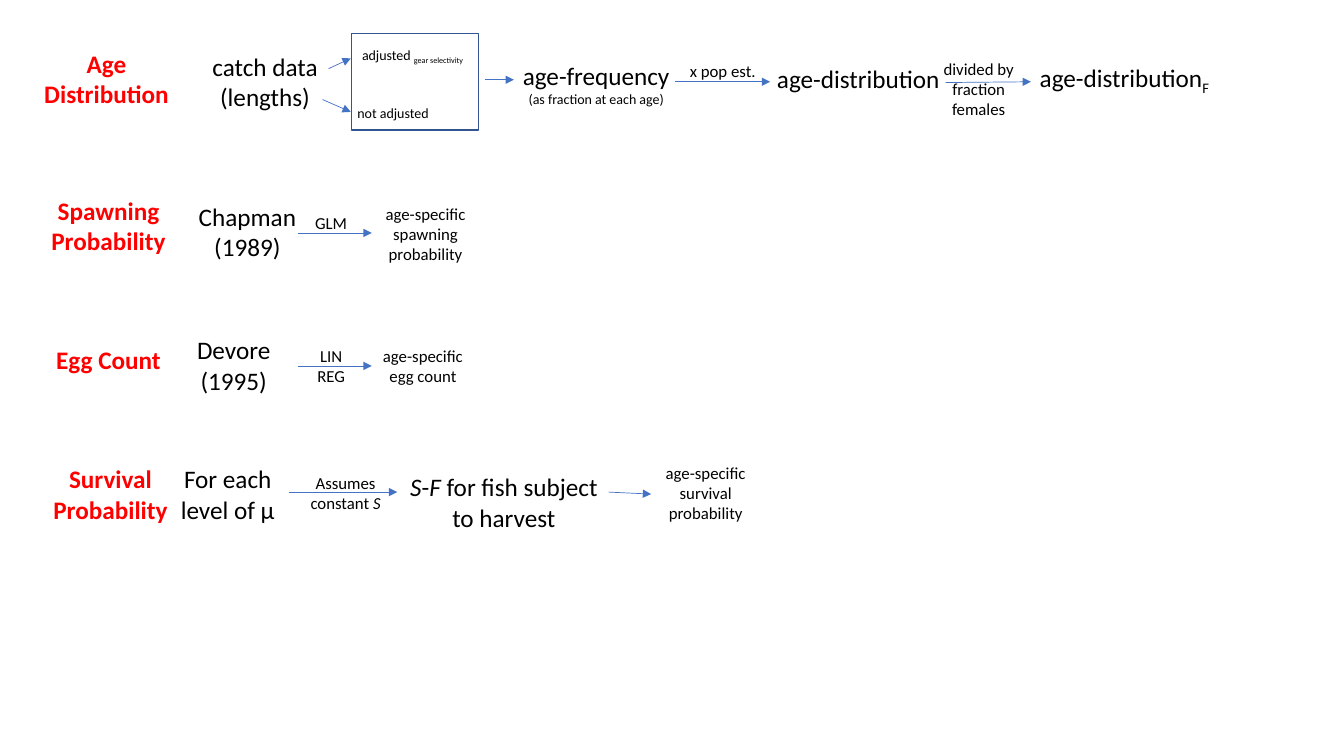
from lxml.etree import SubElement
from pptx import Presentation
from pptx.dml.color import RGBColor
from pptx.enum.shapes import MSO_CONNECTOR, MSO_SHAPE
from pptx.enum.text import MSO_AUTO_SIZE, PP_ALIGN
from pptx.oxml.ns import qn
from pptx.util import Cm, Pt

BLACK = RGBColor(0x00, 0x00, 0x00)
RED = RGBColor(0xFF, 0x00, 0x00)
BLUE = RGBColor(0x44, 0x72, 0xC4)
DARK_BLUE = RGBColor(0x32, 0x54, 0x91)

HEADINGS = [
    (0.46, 1.09, 1.8, "Age Distribution"),
    (0.51, 4.8, 1.8, "Spawning Probability"),
    (0.51, 8.56, 1.02, "Egg Count"),
    (0.56, 11.56, 1.8, "Survival Probability"),
]

STEPS = [
    (5.08, 1.17, 3.2, 1.8, [("catch data (lengths)", "")]),
    (12.8, 1.4, 4.45, 1.45, [("age-frequency ", ""), ("(as fraction at each age)", "small")]),
    (19.23, 1.47, 4.8, 1.02, [("age-distribution", "")]),
    (25.86, 1.45, 4.95, 1.02, [("age-distribution", ""), ("F", "subscript")]),
    (4.01, 4.95, 4.45, 1.8, [("Chapman (1989)", "")]),
    (4.01, 8.31, 3.76, 1.8, [("Devore (1995)", "")]),
    (3.86, 11.56, 3.76, 1.8, [("For each level of µ", "")]),
    (10.06, 11.76, 5.28, 1.8,
     [("S", "italic"), ("-", ""), ("F", "italic"), (" for fish subject to harvest", "")]),
]

NOTES = [
    (17.02, 1.4, 2.39, 1.27, [("x pop est.", "")]),
    (23.47, 1.35, 2.39, 2.31, [("divided by fraction females", "")]),
    (7.42, 5.23, 1.85, 0.76, [("GLM", "")]),
    (8.92, 5, 3.61, 1.8, [("age-specific spawning probability", "")]),
    (7.42, 8.59, 1.85, 1.27, [("LIN REG", "")]),
    (9.25, 8.59, 2.82, 1.27, [("age-specific egg count", "")]),
    (7.44, 11.79, 2.54, 1.27, [("Assumes constant ", ""), ("S", "italic")]),
    (15.98, 11.53, 3.61, 1.8, [("age-specific survival probability", "")]),
]

ADJUSTMENTS = [
    (7.65, 1.04, 5.49, 0.69, [("adjusted ", ""), ("gear selectivity", "subscript")]),
    (7.16, 2.51, 5.49, 0.69, [("not adjusted", "")]),
]

ARROWS = [
    (8.28, 1.73, 8.84, 1.47),
    (8.13, 2.51, 8.84, 2.82),
    (12.22, 2.01, 12.95, 2.01),
    (17.02, 2.06, 19.41, 2.06),
    (23.83, 2.08, 25.98, 2.06),
    (7.52, 5.87, 9.37, 5.87),
    (7.52, 9.22, 9.37, 9.22),
    (7.29, 12.4, 10.01, 12.4),
    (15.34, 12.4, 16.41, 12.45),
]


def add_label(page, left, top, width, height, pieces, size, color=BLACK, bold=False):
    box = page.shapes.add_textbox(Cm(left), Cm(top), Cm(width), Cm(height))
    frame = box.text_frame
    frame.word_wrap = True
    frame.auto_size = MSO_AUTO_SIZE.SHAPE_TO_FIT_TEXT
    para = frame.paragraphs[0]
    para.alignment = PP_ALIGN.CENTER
    for text, style in pieces:
        span = para.add_run()
        span.text = text
        font = span.font
        font.name = "Calibri"
        font.size = Pt(10 if style == "small" else size)
        font.bold = bold
        font.italic = style == "italic"
        font.color.rgb = color
        if style == "subscript":
            font._element.set("baseline", "-25000")


def add_arrow(page, start_x, start_y, end_x, end_y):
    arrow = page.shapes.add_connector(
        MSO_CONNECTOR.STRAIGHT, Cm(start_x), Cm(start_y), Cm(end_x), Cm(end_y))
    arrow.line.color.rgb = BLUE
    arrow.line.width = Pt(0.5)
    SubElement(arrow.line._get_or_add_ln(), qn("a:tailEnd"), type="triangle")
    SubElement(arrow._element.spPr, qn("a:effectLst"))


def add_frame(page, left, top, width, height):
    box = page.shapes.add_shape(
        MSO_SHAPE.RECTANGLE, Cm(left), Cm(top), Cm(width), Cm(height))
    box.shadow.inherit = False
    box.fill.background()
    box.line.color.rgb = DARK_BLUE
    box.line.width = Pt(1)


def main():
    deck = Presentation()
    deck.slide_width = Cm(33.87)
    deck.slide_height = Cm(19.05)
    page = deck.slides.add_slide(deck.slide_layouts[6])

    add_frame(page, 8.86, 0.84, 3.2, 2.44)
    for arrow in ARROWS:
        add_arrow(page, *arrow)
    for left, top, height, title in HEADINGS:
        add_label(page, left, top, 4.45, height, [(title, "")], 18, RED, True)
    for labels, size in ((STEPS, 18), (NOTES, 12), (ADJUSTMENTS, 10)):
        for label in labels:
            add_label(page, *label, size)

    deck.save("out.pptx")


if __name__ == "__main__":
    main()
